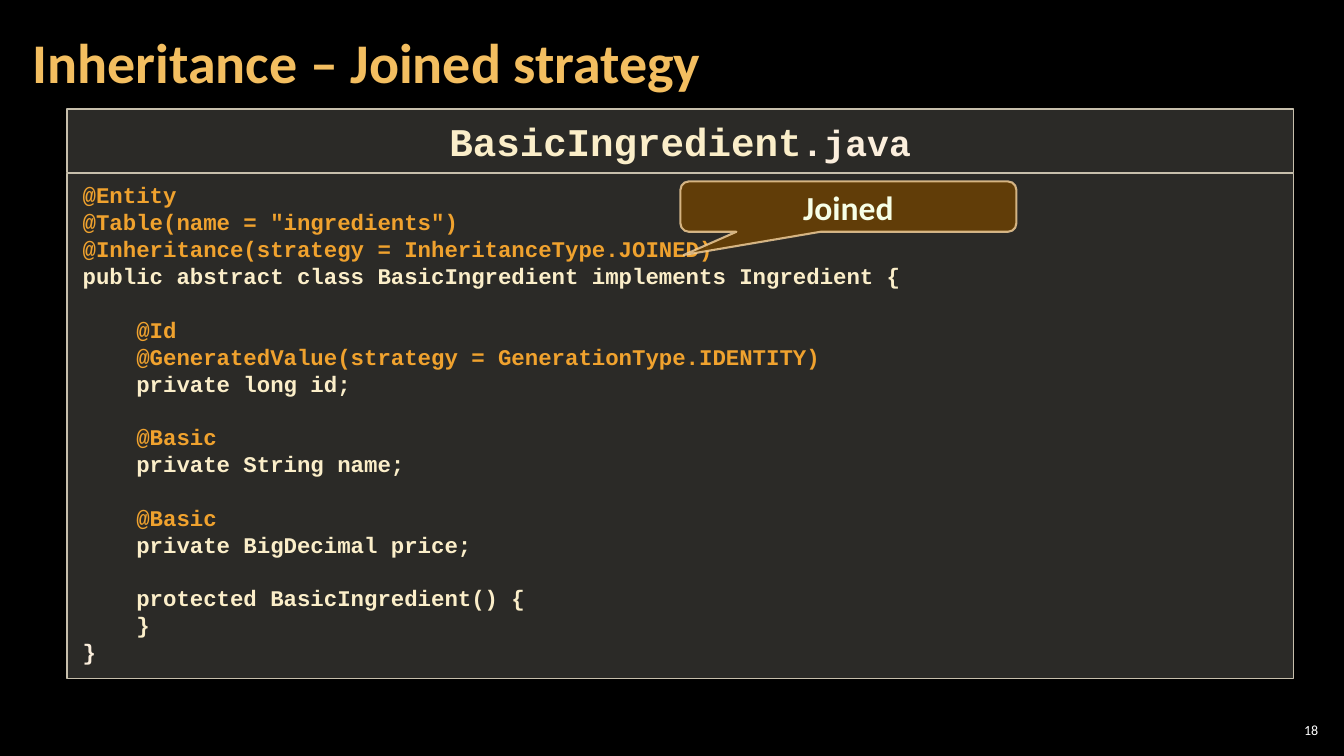
"""Build the slide on the joined inheritance strategy."""
from lxml import etree
from pptx import Presentation
from pptx.dml.color import RGBColor
from pptx.enum.shapes import MSO_SHAPE
from pptx.enum.text import MSO_ANCHOR, MSO_AUTO_SIZE, PP_ALIGN
from pptx.oxml.ns import qn
from pptx.util import Pt

RECTANGLE = MSO_SHAPE.RECTANGLE
CALLOUT = MSO_SHAPE.ROUNDED_RECTANGULAR_CALLOUT
TOP, MIDDLE = MSO_ANCHOR.TOP, MSO_ANCHOR.MIDDLE
LEFT, CENTER, RIGHT = PP_ALIGN.LEFT, PP_ALIGN.CENTER, PP_ALIGN.RIGHT
NO_AUTO_SIZE = MSO_AUTO_SIZE.NONE
ANNOTATION, CODE, PALE = "F0A22E", "FBEEC9", "FBEEDC"
CODE_LINES = """@Entity
@Table(name = "ingredients")
@Inheritance(strategy = InheritanceType.JOINED)
public abstract class BasicIngredient implements Ingredient {

    @Id
    @GeneratedValue(strategy = GenerationType.IDENTITY)
    private long id;

    @Basic
    private String name;

    @Basic
    private BigDecimal price;

    protected BasicIngredient() {
    }
}""".split("\n")


def paint(color_format, color, opacity=100):
    color_format.rgb = RGBColor.from_string(color)
    if opacity < 100:
        element = color_format._xFill.find(qn("a:srgbClr"))
        etree.SubElement(element, qn("a:alpha"), val=str(opacity * 1000))


def style(paragraph, font_name, size, color, bold=True, alignment=LEFT):
    paragraph.alignment = alignment
    paragraph.font.name = font_name
    paragraph.font.size = Pt(size)
    paragraph.font.bold = bold
    paint(paragraph.font.color, color)


presentation = Presentation()
presentation.slide_width, presentation.slide_height = Pt(960), Pt(540)
slide = presentation.slides.add_slide(presentation.slide_layouts[5])
slide.background.fill.solid()
paint(slide.background.fill.fore_color, "000000")

title = slide.shapes.title
title.left, title.top, title.width, title.height = Pt(14.8), Pt(3), Pt(754), Pt(87)
title.text_frame.text = "Inheritance – Joined strategy"
title.text_frame.auto_size = NO_AUTO_SIZE
title.text_frame.vertical_anchor = MIDDLE
title.text_frame.margin_left = title.text_frame.margin_right = Pt(8.6)
title.text_frame.paragraphs[0].line_spacing = 0.9
style(title.text_frame.paragraphs[0], "Calibri", 40, "F3BE60")

number = slide.shapes.add_textbox(Pt(911), Pt(514), Pt(33.6), Pt(15))
number.text_frame.word_wrap = True
number.text_frame.vertical_anchor = MIDDLE
number.text_frame.margin_left = number.text_frame.margin_right = Pt(3)
number.text_frame.margin_top = number.text_frame.margin_bottom = Pt(3)
number.text_frame.text = "18"
style(number.text_frame.paragraphs[0], "Calibri", 10, "FFFFFF", False, RIGHT)

panels = []
for panel_top, panel_height in ((124, 360.7), (78, 45.4)):
    panel = slide.shapes.add_shape(
        RECTANGLE, Pt(47.8), Pt(panel_top), Pt(876.2), Pt(panel_height))
    panel.shadow.inherit = False
    panel.fill.solid()
    paint(panel.fill.fore_color, "D9D5C7", 20)
    paint(panel.line.color, "C7BFAC")
    panel.line.width = Pt(1)
    frame = panel.text_frame
    frame.vertical_anchor = TOP
    frame.margin_left = frame.margin_right = Pt(11.3)
    frame.margin_top = frame.margin_bottom = Pt(5.7)
    panels.append(frame)
code_frame, header_frame = panels

code_frame.text = "\n".join(CODE_LINES)
for line, paragraph in zip(CODE_LINES, code_frame.paragraphs):
    if line.strip().startswith("@"):
        color = ANNOTATION
    else:
        color = PALE if line == "}" else CODE
    style(paragraph, "Courier New", 16, color)

header = header_frame.paragraphs[0]
style(header, "Courier New", 28, CODE, alignment=CENTER)
header.add_run().text = "BasicIngredient"
extension = header.add_run()
extension.text = ".java"
extension.font.size = Pt(26)
paint(extension.font.color, PALE)

callout = slide.shapes.add_shape(CALLOUT, Pt(486), Pt(129.6), Pt(240), Pt(36))
callout.shadow.inherit = False
for index, adjustment in enumerate((-0.49, 0.96, 0.17)):
    callout.adjustments[index] = adjustment
callout.fill.solid()
paint(callout.fill.fore_color, "643F07", 95)
paint(callout.line.color, "F8D49E", 80)
callout.line.width = Pt(1.5)
callout.text_frame.text = "Joined"
callout.text_frame.vertical_anchor = MIDDLE
style(callout.text_frame.paragraphs[0], "Calibri", 24, "F7FFE7", alignment=CENTER)

presentation.save("out.pptx")
